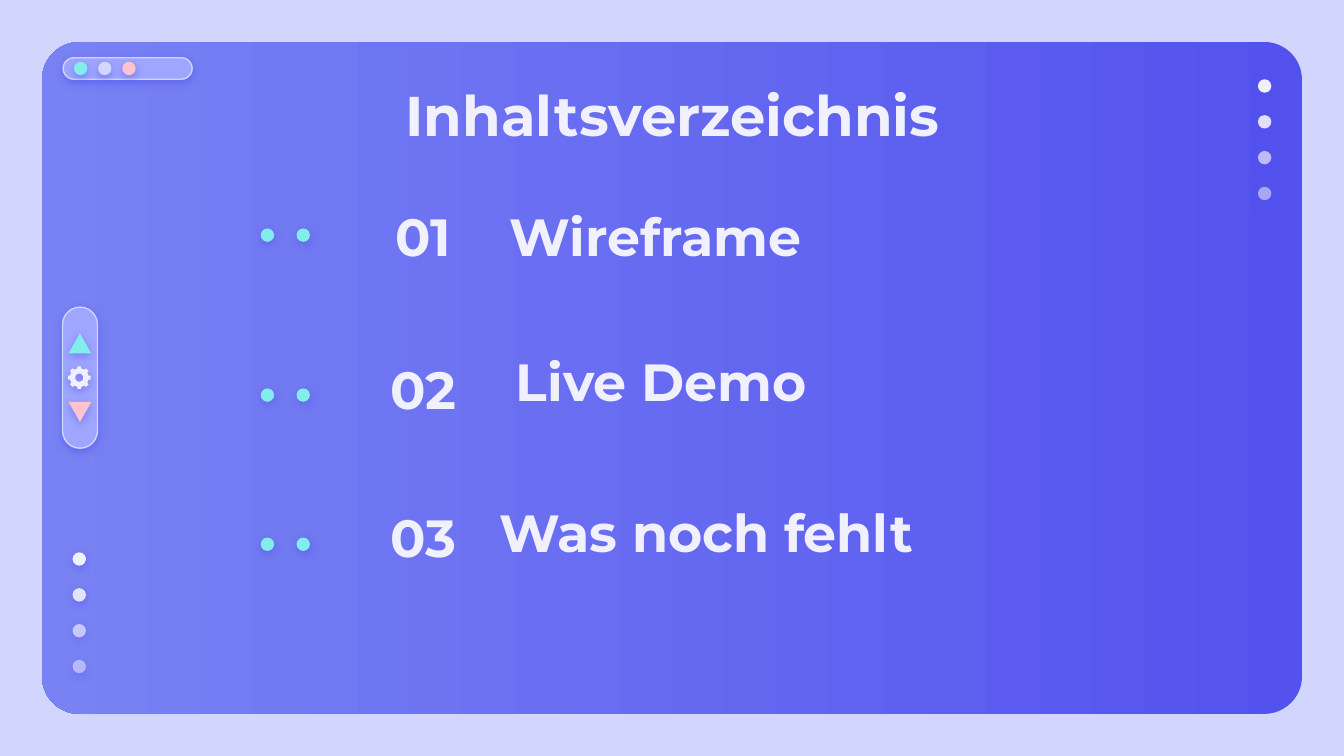
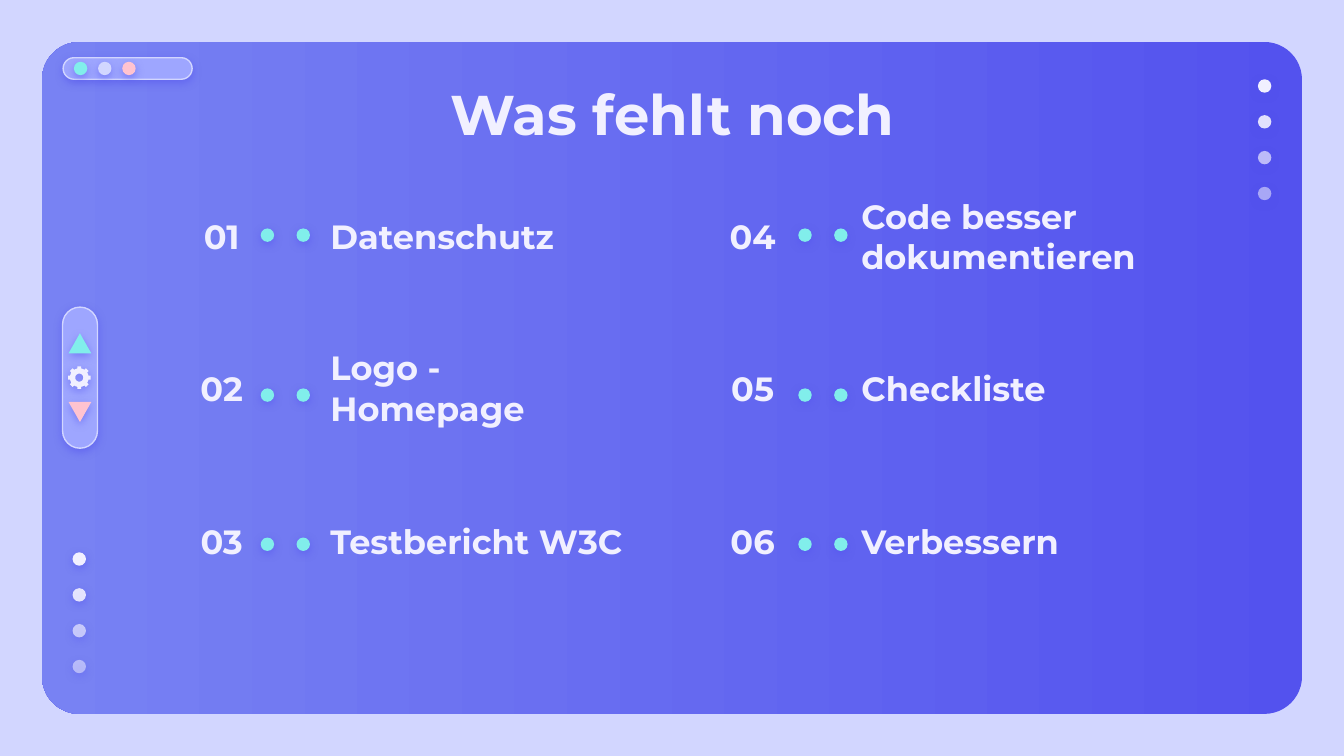
from math import cos, radians, sin

from lxml.etree import SubElement
from pptx import Presentation
from pptx.dml.color import RGBColor
from pptx.enum.shapes import MSO_SHAPE as Preset
from pptx.enum.text import MSO_ANCHOR as Anchor, PP_ALIGN as Align
from pptx.oxml.ns import qn
from pptx.util import Inches, Pt

FONT = "Montserrat"
COLORS = {
    "page": "D2D6FF",
    "panel_dark": "5352EE",
    "panel_light": "7882F3",
    "pill": "9EA6FF",
    "white": "F1F0FF",
    "mint": "81EEEB",
    "pink": "FFC3D0",
}
SLIDE_WIDTH = 10
SLIDE_HEIGHT = SLIDE_WIDTH * 9 / 16
MARGIN = SLIDE_WIDTH / 32
DOT_SIZE = 0.1
DOT_STEP = 0.8 / 3
DOT_ROWS = (1.7, 2.89, 4.0)
FADING = (100, 90, 67, 54)
GEAR_CENTER = (0.59, 2.81)

CONTENTS = (
    ("01", 1.62, "Wireframe", 3.69, 1.62, 2.52),
    ("02", 2.76, "Live Demo", 3.74, 2.7, 2.52),
    ("03", 3.86, "Was noch fehlt", 3.62, 3.82, 3.56),
)
TASK_ROWS = (1.62, 2.75, 3.89)
TASK_COLUMNS = (
    (1.17, 1.94, ("Datenschutz", "Logo - Homepage", "Testbericht W3C")),
    (5.12, 5.94, ("Code besser dokumentieren", "Checkliste", "Verbessern")),
)


def rgb(name):
    return RGBColor.from_string(COLORS[name])


def add_shadow(shape):
    shape.shadow.inherit = False
    effects = shape.element.spPr.find(qn("a:effectLst"))
    shadow = SubElement(effects, qn("a:outerShdw"), blurRad=str(Pt(4.5)),
                        dist=str(Pt(1.5)), dir="5400000", algn="bl",
                        rotWithShape="0")
    color = SubElement(shadow, qn("a:srgbClr"), val=COLORS["panel_dark"])
    SubElement(color, qn("a:alpha"), val="50000")


def paint(shape, color, opacity=100):
    shape.fill.solid()
    shape.fill.fore_color.rgb = rgb(color)
    shape.line.fill.background()
    if opacity < 100:
        value = shape.element.spPr.find(qn("a:solidFill"))[0]
        SubElement(value, qn("a:alpha"), val=str(opacity * 1000))
    add_shadow(shape)


def add_preset(shapes, preset, box, color, opacity=100, rotation=0):
    shape = shapes.add_shape(preset, *map(Inches, box))
    shape.rotation = rotation
    paint(shape, color, opacity)
    return shape


def add_dots(slide, left, top, dots, step_x=0, step_y=0):
    group = slide.shapes.add_group_shape()
    for index, (color, opacity) in enumerate(dots):
        box = (left + index * step_x, top + index * step_y, DOT_SIZE, DOT_SIZE)
        add_preset(group.shapes, Preset.OVAL, box, color, opacity)


def add_pill(slide, box, rotation=0):
    pill = add_preset(slide.shapes, Preset.ROUNDED_RECTANGLE, box, "pill",
                      rotation=rotation)
    pill.adjustments[0] = 0.5
    pill.line.color.rgb = rgb("page")
    pill.line.width = Pt(0.75)


def polar(radius, angle):
    x, y = GEAR_CENTER
    return (Inches(x + radius * cos(radians(angle))),
            Inches(y + radius * sin(radians(angle))))


def add_gear(slide):
    tooth = ((0.07, -12), (0.085, -10), (0.085, 10), (0.07, 12), (0.07, 22.5))
    outline = [polar(radius, start + offset)
               for start in range(0, 360, 45) for radius, offset in tooth]
    hole = [polar(0.03, angle) for angle in range(360, 0, -15)]
    builder = slide.shapes.build_freeform(*outline[0])
    builder.add_line_segments(outline[1:], close=True)
    builder.move_to(*hole[0])
    builder.add_line_segments(hole[1:], close=True)
    paint(builder.convert_to_shape(), "white")


def add_panel(slide):
    box = (MARGIN, MARGIN, SLIDE_WIDTH - 2 * MARGIN, SLIDE_HEIGHT - 2 * MARGIN)
    panel = slide.shapes.add_shape(Preset.ROUNDED_RECTANGLE, *map(Inches, box))
    panel.adjustments[0] = 0.056
    panel.fill.gradient()
    panel.fill.gradient_angle = 180
    for stop, color in zip(panel.fill.gradient_stops,
                           ("panel_dark", "panel_light")):
        stop.color.rgb = rgb(color)
    panel.line.fill.background()
    panel.shadow.inherit = False


def add_control_bar(slide):
    add_pill(slide, (0.07, 2.68, 1.05, 0.26), rotation=90)
    for top, color, rotation in ((2.48, "mint", 0), (2.99, "pink", 180)):
        add_preset(slide.shapes, Preset.ISOSCELES_TRIANGLE,
                   (0.51, top, 0.17, 0.15), color, rotation=rotation)
    add_gear(slide)


def add_text(slide, text, box, size, align=Align.LEFT, anchor=Anchor.MIDDLE):
    frame = slide.shapes.add_textbox(*map(Inches, box)).text_frame
    frame.word_wrap = True
    frame.vertical_anchor = anchor
    frame.margin_left = frame.margin_right = Inches(0.1)
    frame.margin_top = frame.margin_bottom = Inches(0.1)
    paragraph = frame.paragraphs[0]
    paragraph.alignment = align
    run = paragraph.add_run()
    run.text = text
    run.font.name = FONT
    run.font.size = Pt(size)
    run.font.bold = True
    run.font.color.rgb = rgb("white")


def add_number(slide, text, left, top, size):
    add_text(slide, text, (left, top, 0.96, 0.27), size, Align.CENTER)


def add_row_dots(slide, left):
    for top in DOT_ROWS:
        add_dots(slide, left, top, [("mint", 100)] * 2, step_x=DOT_STEP)


def add_base_slide(presentation, title, title_top):
    slide = presentation.slides.add_slide(presentation.slide_layouts[6])
    slide.background.fill.solid()
    slide.background.fill.fore_color.rgb = rgb("page")
    add_panel(slide)
    add_pill(slide, (0.47, 0.43, 0.96, 0.16))
    add_dots(slide, 0.55, 0.46,
             [(color, 100) for color in ("mint", "page", "pink")], step_x=0.18)
    for left, top in ((9.36, 0.59), (0.54, 4.11)):
        add_dots(slide, left, top,
                 [("white", opacity) for opacity in FADING], step_y=DOT_STEP)
    add_text(slide, title, (0.79, title_top, 8.43, 0.63), 30,
             Align.CENTER, Anchor.TOP)
    add_control_bar(slide)
    return slide


def add_contents_slide(presentation):
    slide = add_base_slide(presentation, "Inhaltsverzeichnis", 0.5)
    for number, number_top, text, left, top, width in CONTENTS:
        add_number(slide, number, 2.67, number_top, 28)
        add_text(slide, text, (left, top, width, 0.27), 28)
    add_row_dots(slide, 1.94)


def add_tasks_slide(presentation):
    slide = add_base_slide(presentation, "Was fehlt noch", 0.49)
    number = 1
    for left, dots_left, tasks in TASK_COLUMNS:
        for top, task in zip(TASK_ROWS, tasks):
            add_number(slide, f"{number:02}", left, top, 18)
            add_text(slide, task, (left + 1.19, top, 2.52, 0.27), 18)
            number += 1
        add_row_dots(slide, dots_left)


def main():
    presentation = Presentation()
    presentation.slide_width = Inches(SLIDE_WIDTH)
    presentation.slide_height = Inches(SLIDE_HEIGHT)
    add_contents_slide(presentation)
    add_tasks_slide(presentation)
    presentation.save("out.pptx")


if __name__ == "__main__":
    main()
